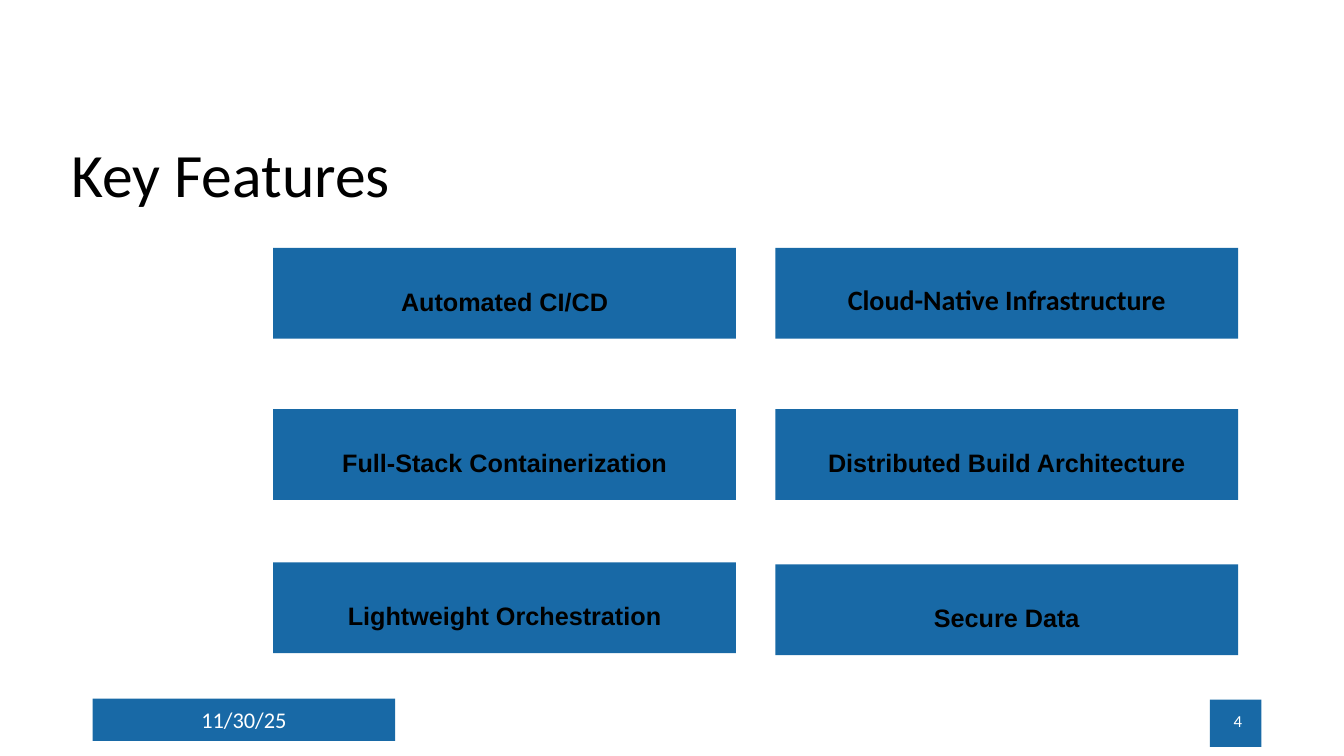
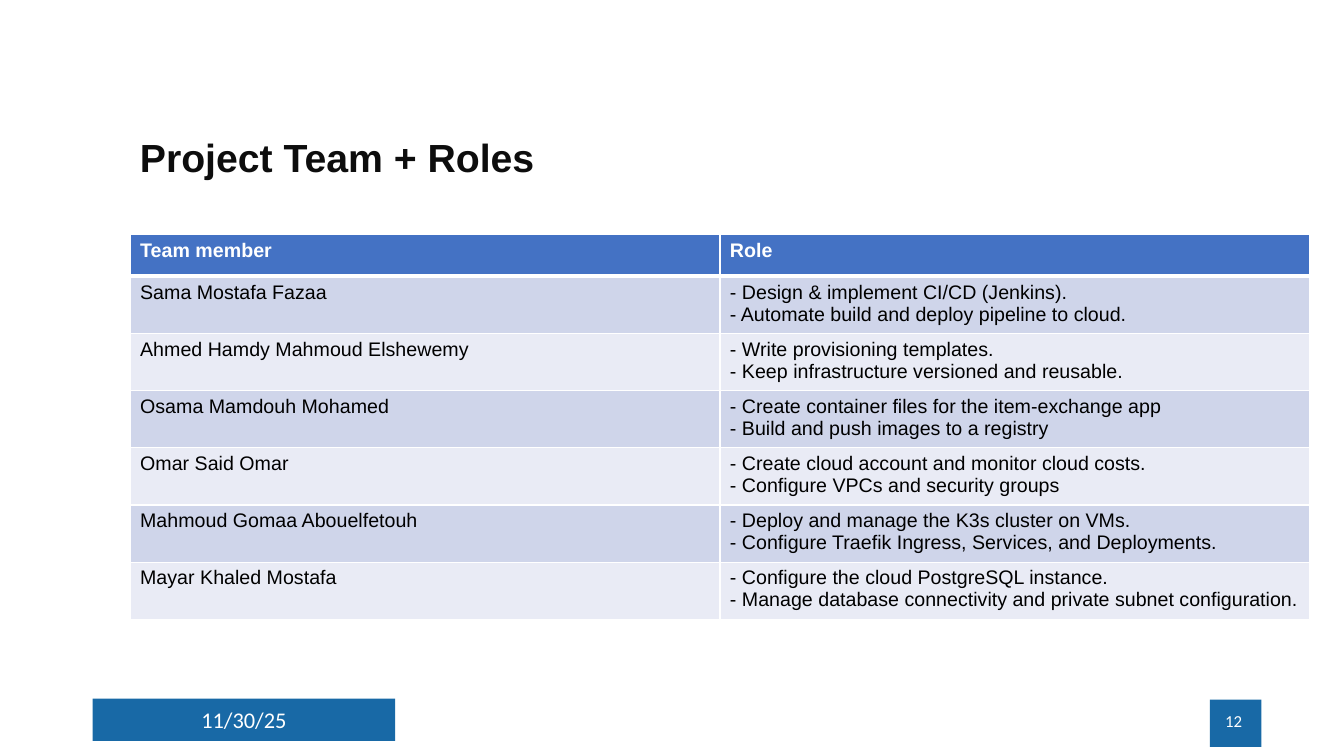
import pptx
import pptx.dml.color
import pptx.enum.shapes
import pptx.enum.text
import pptx.oxml
import pptx.oxml.ns
import pptx.util

Inches = pptx.util.Inches
RGBColor = pptx.dml.color.RGBColor
Align = pptx.enum.text.PP_ALIGN
Anchor = pptx.enum.text.MSO_ANCHOR

BLUE = RGBColor(0x18, 0x69, 0xA6)
BLACK = RGBColor(0, 0, 0)
TITLE_INK = RGBColor(0x0D, 0x0D, 0x0D)
WHITE = RGBColor(0xFF, 0xFF, 0xFF)
HEADER = RGBColor(0x44, 0x72, 0xC4)
BANDS = (RGBColor(0xCF, 0xD5, 0xEA), RGBColor(0xE9, 0xEB, 0xF5))
INSETS = (0.1, 0.05, 0.1, 0.05)


def write(tf, text, size=14, font="Arial", color=BLACK, bold=False,
          align=Align.LEFT, spacing=None):
    """Fill a text frame, one paragraph per line of text."""
    for i, line in enumerate(text.split("\n")):
        p = tf.add_paragraph() if i else tf.paragraphs[0]
        p.alignment = align
        if spacing:
            p.line_spacing = spacing
        r = p.add_run()
        r.text = line
        r.font.size = pptx.util.Pt(size)
        r.font.name = font
        r.font.bold = bold
        r.font.color.rgb = color


def set_frame(tf, anchor, insets):
    tf.word_wrap = True
    tf.vertical_anchor = anchor
    (tf.margin_left, tf.margin_top,
     tf.margin_right, tf.margin_bottom) = map(Inches, insets)


class Deck:
    def __init__(self):
        self.prs = pptx.Presentation()
        self.prs.slide_width = Inches(13.33)
        self.prs.slide_height = Inches(7.5)
        self.s = None

    def new_slide(self, number):
        self.s = self.prs.slides.add_slide(self.prs.slide_layouts[6])
        # Footer: date band and page number
        self.box("11/30/25", 0.92, 6.93, 3, 0.42, size=16, font="Calibri",
                 color=WHITE, align=Align.CENTER)
        self.box(str(number), 12, 6.94, 0.51, 0.47, insets=(0, 0, 0.19, 0.05),
                 size=12, font="Calibri", color=WHITE, align=Align.RIGHT)

    def title(self, text, x, y, w, **style):
        sp = self.s.shapes.add_textbox(*map(Inches, (x, y, w, 0.77)))
        set_frame(sp.text_frame, Anchor.MIDDLE, INSETS)
        write(sp.text_frame, text, spacing=0.9, **style)

    def box(self, text, x, y, w, h, anchor=Anchor.MIDDLE, insets=INSETS,
            **style):
        sp = self.s.shapes.add_shape(
            pptx.enum.shapes.MSO_SHAPE.RECTANGLE, *map(Inches, (x, y, w, h)))
        sp.shadow.inherit = False
        sp.fill.solid()
        sp.fill.fore_color.rgb = BLUE
        sp.line.fill.background()
        set_frame(sp.text_frame, anchor, insets)
        write(sp.text_frame, text, **style)

    def card(self, text, x, y, **style):
        style = {"size": 18, **style}
        self.box(text, x, y, 4.59, 0.9, anchor=Anchor.TOP,
                 insets=(0.1, 0.38, 0.1, 0.05), bold=True,
                 align=Align.CENTER, **style)

    def table(self, rows, x, y, col_w, header_h, row_h):
        height = header_h + row_h * (len(rows) - 1)
        table = self.s.shapes.add_table(
            len(rows), len(rows[0]), Inches(x), Inches(y),
            Inches(col_w * len(rows[0])), Inches(height)).table
        for col in table.columns:
            col.width = Inches(col_w)
        for i, row in enumerate(rows):
            head = i == 0
            table.rows[i].height = Inches(row_h if i else header_h)
            for j, text in enumerate(row):
                cell = table.cell(i, j)
                cell.fill.solid()
                cell.fill.fore_color.rgb = HEADER if head else BANDS[(i - 1) % 2]
                write(cell.text_frame, text, bold=head,
                      color=WHITE if head else BLACK)
                self.borders(cell, top=3 if i == 1 else 1,
                             bottom=3 if head else 1)

    def borders(self, cell, top, bottom):
        tc_pr = cell._tc.get_or_add_tcPr()
        sides = {"lnL": 1, "lnR": 1, "lnT": top, "lnB": bottom}
        for i, (tag, width) in enumerate(sides.items()):
            tc_pr.insert(i, pptx.oxml.parse_xml(
                f'<a:{tag} {pptx.oxml.ns.nsdecls("a")} w="{pptx.util.Pt(width)}">'
                f'<a:solidFill><a:srgbClr val="{WHITE}"/></a:solidFill>'
                f'</a:{tag}>'))


FEATURES = (
    # left edge, then (top, label) down the column
    (2.71, ((2.46, "Automated CI/CD"),
            (4.06, "Full-Stack Containerization"),
            (5.58, "Lightweight Orchestration"))),
    (7.69, ((2.46, "Cloud-Native Infrastructure"),
            (4.06, "Distributed Build Architecture"),
            (5.6, "Secure Data"))),
)
CARD_STYLES = {
    "Cloud-Native Infrastructure":
        {"size": 20, "font": "Calibri", "spacing": 0.9},
}
TEAM = (
    ("Team member", "Role"),
    ("Sama Mostafa Fazaa",
     "- Design & implement CI/CD (Jenkins).\n"
     "- Automate build and deploy pipeline to cloud."),
    ("Ahmed Hamdy Mahmoud Elshewemy",
     "- Write provisioning templates.\n"
     "- Keep infrastructure versioned and reusable."),
    ("Osama Mamdouh Mohamed",
     "- Create container files for the item-exchange app\n"
     "- Build and push images to a registry"),
    ("Omar Said Omar",
     "- Create cloud account and monitor cloud costs.\n"
     "- Configure VPCs and security groups"),
    ("Mahmoud Gomaa Abouelfetouh",
     "- Deploy and manage the K3s cluster on VMs.\n"
     "- Configure Traefik Ingress, Services, and Deployments."),
    ("Mayar Khaled Mostafa",
     "- Configure the cloud PostgreSQL instance.\n"
     "- Manage database connectivity and private subnet configuration."),
)


def main():
    deck = Deck()

    # Key features
    deck.new_slide(4)
    deck.title("Key Features", 0.61, 1.38, 5.4, size=44, font="Calibri")
    for x, cards in FEATURES:
        for y, label in cards:
            deck.card(label, x, y, **CARD_STYLES.get(label, {}))

    # Project team
    deck.new_slide(12)
    deck.title("Project Team + Roles", 1.29, 1.2, 4.84, size=28,
               color=TITLE_INK, bold=True)
    deck.table(TEAM, 1.29, 2.33, col_w=5.85, header_h=0.41, row_h=0.54)

    deck.prs.save("out.pptx")


if __name__ == "__main__":
    main()
